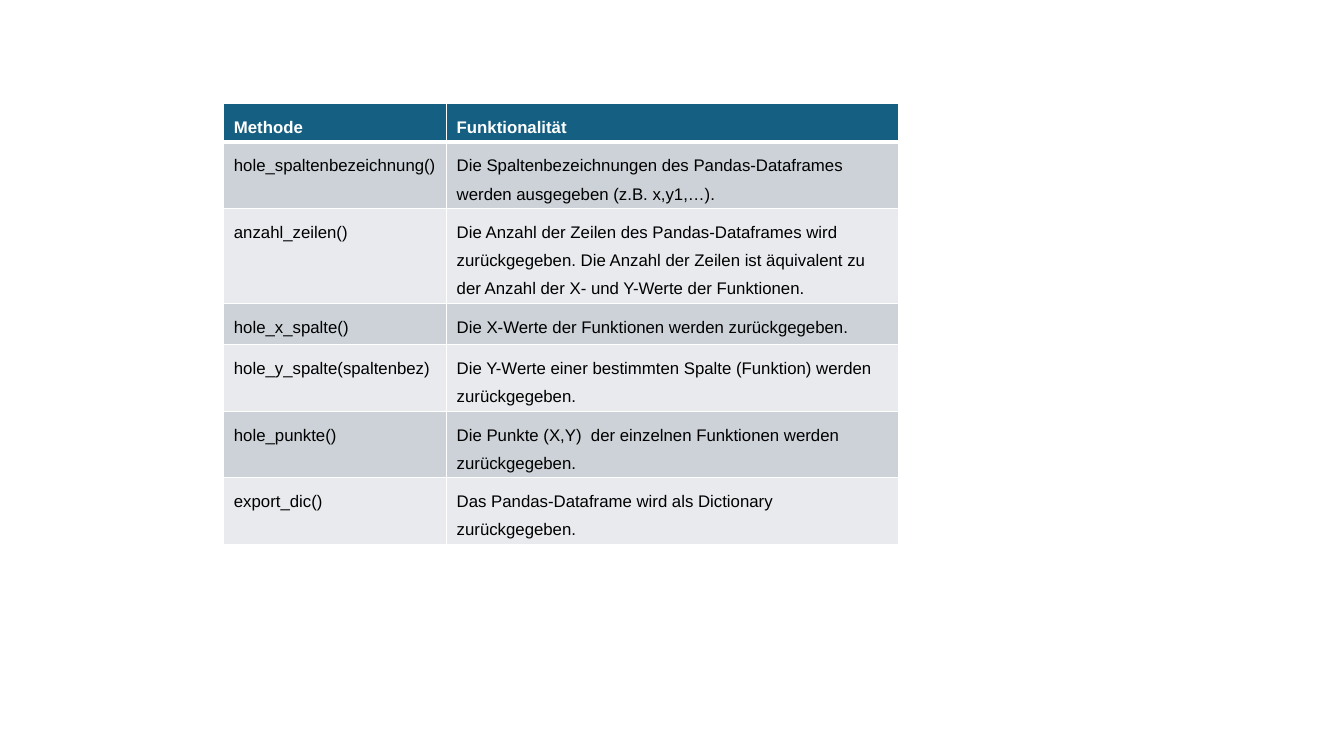
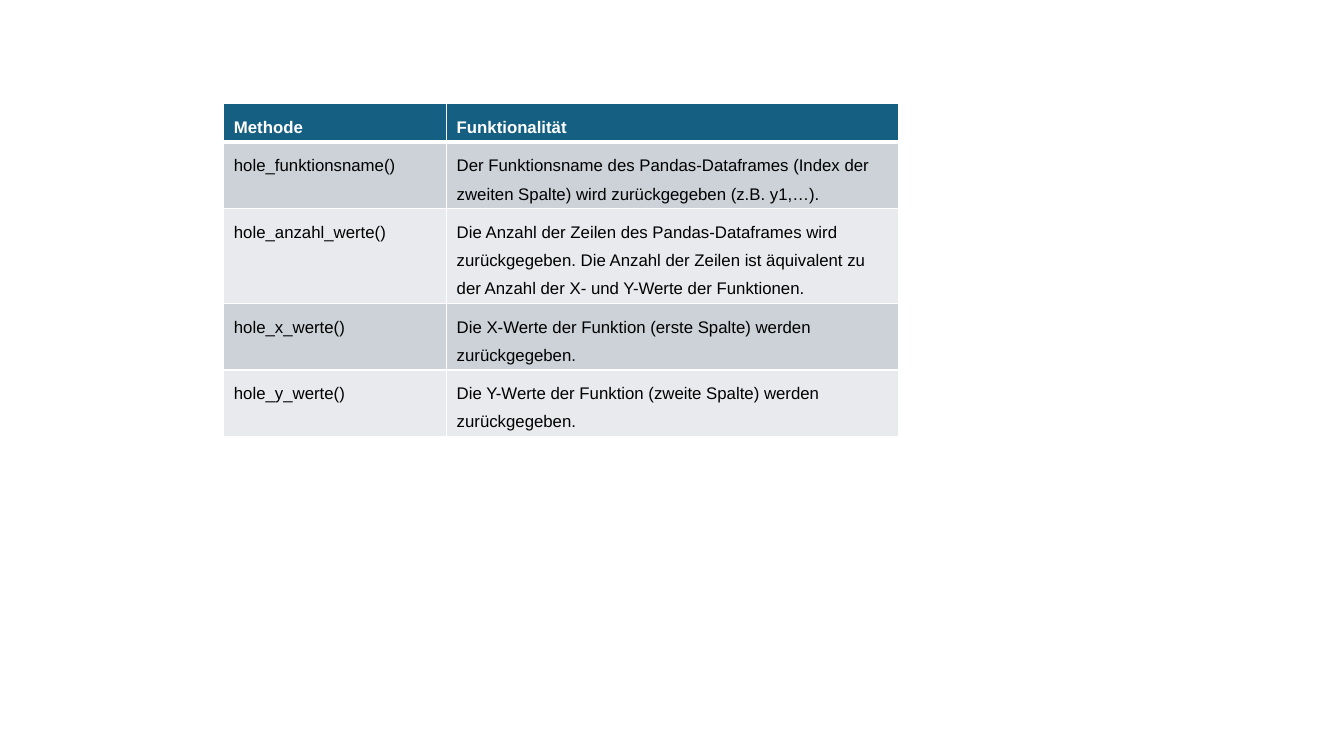
from lxml.etree import SubElement
from pptx import Presentation
from pptx.dml.color import RGBColor
from pptx.oxml.ns import qn
from pptx.util import Inches, Pt

COLORS = {"header": "156082", "odd": "CCD2D8", "even": "E8EAED",
          "white": "FFFFFF", "black": "000000"}
TABLE_BOX = (2.22, 1.03, 6.69)
COL_WIDTHS = (2.21, 4.48)
HEADER_HEIGHT, ROW_HEIGHT = 0.16, 0.41
BORDER, HEADER_RULE = 1, 3
BODY_FONT = {"name": "Arial", "size": Pt(12), "bold": False}
HEADER_FONT = {**BODY_FONT, "bold": True}

HEADER = ("Methode", "Funktionalität")
ROW_COUNT = (
    "Die Anzahl der Zeilen des Pandas-Dataframes wird zurückgegeben. "
    "Die Anzahl der Zeilen ist äquivalent zu der Anzahl der X- und Y-Werte der Funktionen."
)
SLIDES = [
    [
        ("hole_spaltenbezeichnung()",
         "Die Spaltenbezeichnungen des Pandas-Dataframes werden ausgegeben (z.B. x,y1,…)."),
        ("anzahl_zeilen()", ROW_COUNT),
        ("hole_x_spalte()", "Die X-Werte der Funktionen werden zurückgegeben."),
        ("hole_y_spalte(spaltenbez)",
         "Die Y-Werte einer bestimmten Spalte (Funktion) werden zurückgegeben."),
        ("hole_punkte()",
         "Die Punkte (X,Y)  der einzelnen Funktionen werden zurückgegeben."),
        ("export_dic()", "Das Pandas-Dataframe wird als Dictionary zurückgegeben."),
    ],
    [
        ("hole_funktionsname()",
         "Der Funktionsname des Pandas-Dataframes (Index der zweiten Spalte) "
         "wird zurückgegeben (z.B. y1,…)."),
        ("hole_anzahl_werte()", ROW_COUNT),
        ("hole_x_werte()", "Die X-Werte der Funktion (erste Spalte) werden zurückgegeben."),
        ("hole_y_werte()", "Die Y-Werte der Funktion (zweite Spalte) werden zurückgegeben."),
    ],
]


def rgb(name):
    return RGBColor.from_string(COLORS[name])


def set_borders(cell, widths):
    tc_pr = cell._tc.get_or_add_tcPr()
    for i, (side, width) in enumerate(widths.items()):
        ln = SubElement(tc_pr, qn(f"a:ln{side}"), w=str(Pt(width)))
        fill = SubElement(ln, qn("a:solidFill"))
        SubElement(fill, qn("a:srgbClr"), val=COLORS["white"])
        tc_pr.insert(i, ln)


def fill_cell(cell, text, row):
    is_header = row == 0
    cell.fill.solid()
    cell.fill.fore_color.rgb = rgb("header" if is_header else "odd" if row % 2 else "even")
    set_borders(cell, {"L": BORDER, "R": BORDER,
                       "T": HEADER_RULE if row == 1 else BORDER,
                       "B": HEADER_RULE if is_header else BORDER})
    p = cell.text_frame.paragraphs[0]
    p.line_spacing = 1.5
    r = p.add_run()
    r.text = text
    for attr, value in (HEADER_FONT if is_header else BODY_FONT).items():
        setattr(r.font, attr, value)
    r.font.color.rgb = rgb("white" if is_header else "black")


def add_method_table(s, box, methods):
    left, top, width = box
    rows = [HEADER, *methods]
    height = HEADER_HEIGHT + ROW_HEIGHT * len(methods)
    table = s.shapes.add_table(len(rows), len(HEADER), Inches(left), Inches(top),
                               Inches(width), Inches(height)).table
    for col, col_width in zip(table.columns, COL_WIDTHS):
        col.width = Inches(width * col_width / sum(COL_WIDTHS))
    for i, texts in enumerate(rows):
        table.rows[i].height = Inches(ROW_HEIGHT if i else HEADER_HEIGHT)
        for j, text in enumerate(texts):
            fill_cell(table.cell(i, j), text, i)


def main():
    prs = Presentation()
    prs.slide_width, prs.slide_height = Inches(13.33), Inches(7.5)
    for methods in SLIDES:
        s = prs.slides.add_slide(prs.slide_layouts[6])
        add_method_table(s, TABLE_BOX, methods)
    prs.save("out.pptx")


if __name__ == "__main__":
    main()
